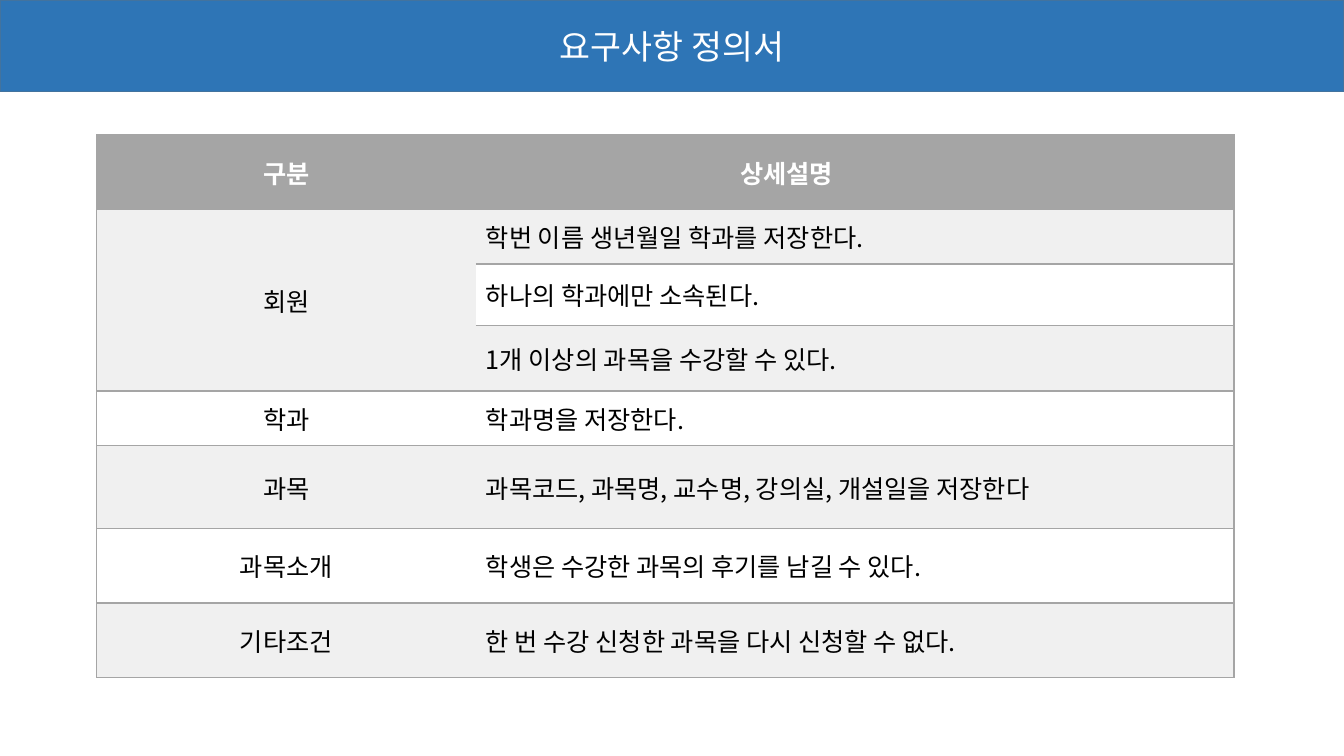
from lxml import etree
from pptx import Presentation
from pptx.dml.color import RGBColor
from pptx.enum.shapes import MSO_SHAPE as Shape
from pptx.enum.text import MSO_ANCHOR as Anchor, PP_ALIGN as Align
from pptx.oxml.ns import qn
from pptx.util import Inches, Pt

# Content
TITLE = "요구사항 정의서"
REQUIREMENTS = [
    ("구분", "상세설명"),
    ("회원", "학번 이름 생년월일 학과를 저장한다."),
    ("", "하나의 학과에만 소속된다."),
    ("", "1개 이상의 과목을 수강할 수 있다."),
    ("학과", "학과명을 저장한다."),
    ("과목", "과목코드, 과목명, 교수명, 강의실, 개설일을 저장한다"),
    ("과목소개", "학생은 수강한 과목의 후기를 남길 수 있다."),
    ("기타조건", "한 번 수강 신청한 과목을 다시 신청할 수 없다."),
]
MEMBER_ROWS = (1, 3)

# Layout and formats
COLUMN_WIDTHS = [3.76, 6.16, 1.36]
ROW_HEIGHTS = [0.74, 0.54, 0.61, 0.65, 0.54, 0.54, 0.74, 0.74]
FONT = "Noto Sans CJK KR"
GRAY, BAND, WHITE, BLACK = "A5A5A5", "F0F0F0", "FFFFFF", "000000"
BANNER, BANNER_EDGE = "2E75B6", "43739E"
TITLE_FORMAT = {"size": Pt(24), "name": FONT, "bold": False}
HEADER_FORMAT = {"size": Pt(18), "name": FONT, "bold": True}
BODY_FORMAT = {**HEADER_FORMAT, "bold": False}


def paint(color_format, color):
    color_format.rgb = RGBColor.from_string(color)


def fill_with(fill, color):
    fill.solid()
    paint(fill.fore_color, color)


def write(frame, text, formats, color, align):
    paragraph = frame.paragraphs[0]
    paragraph.alignment = align
    run = paragraph.add_run()
    run.text = text
    for attribute, value in formats.items():
        setattr(run.font, attribute, value)
    paint(run.font.color, color)
    east_asian = etree.SubElement(run.font._element, qn("a:ea"))
    east_asian.set("typeface", FONT)


def set_borders(cell, visible_sides):
    properties = cell._tc.get_or_add_tcPr()
    for position, side in enumerate("LRTB"):
        line = etree.Element(qn(f"a:ln{side}"), w=str(Pt(1)))
        if side in visible_sides:
            solid = etree.SubElement(line, qn("a:solidFill"))
            etree.SubElement(solid, qn("a:srgbClr"), val=GRAY)
        else:
            etree.SubElement(line, qn("a:noFill"))
        properties.insert(position, line)


deck = Presentation()
deck.slide_width, deck.slide_height = Inches(13.33), Inches(7.5)
slide = deck.slides.add_slide(deck.slide_layouts[6])

# Requirements table
grid = slide.shapes.add_table(
    len(REQUIREMENTS), len(COLUMN_WIDTHS), Inches(0.96), Inches(1.34),
    Inches(sum(COLUMN_WIDTHS)), Inches(sum(ROW_HEIGHTS))).table
for column, width in zip(grid.columns, COLUMN_WIDTHS):
    column.width = Inches(width)
for row, height in zip(grid.rows, ROW_HEIGHTS):
    row.height = Inches(height)

first_member, last_member = MEMBER_ROWS
grid.cell(first_member, 0).merge(grid.cell(last_member, 0))

for row_index, requirement in enumerate(REQUIREMENTS):
    is_header = row_index == 0
    background = GRAY if is_header else BAND if row_index % 2 else WHITE
    formats = HEADER_FORMAT if is_header else BODY_FORMAT
    for column_index, sides in enumerate(("LTB", "TB", "RTB")):
        cell = grid.cell(row_index, column_index)
        cell.vertical_anchor = Anchor.MIDDLE
        fill_with(cell.fill, background)
        set_borders(cell, sides)
        if column_index < len(requirement) and requirement[column_index]:
            centred = is_header or column_index == 0
            write(cell.text_frame, requirement[column_index], formats,
                  WHITE if is_header else BLACK,
                  Align.CENTER if centred else Align.LEFT)

# Title banner
banner = slide.shapes.add_shape(
    Shape.RECTANGLE, 0, 0, deck.slide_width, Inches(0.91))
banner.shadow.inherit = False
fill_with(banner.fill, BANNER)
fill_with(banner.line.fill, BANNER_EDGE)
banner.line.width = Pt(1)
banner.text_frame.vertical_anchor = Anchor.MIDDLE
write(banner.text_frame, TITLE, TITLE_FORMAT, WHITE, Align.CENTER)

deck.save("out.pptx")
